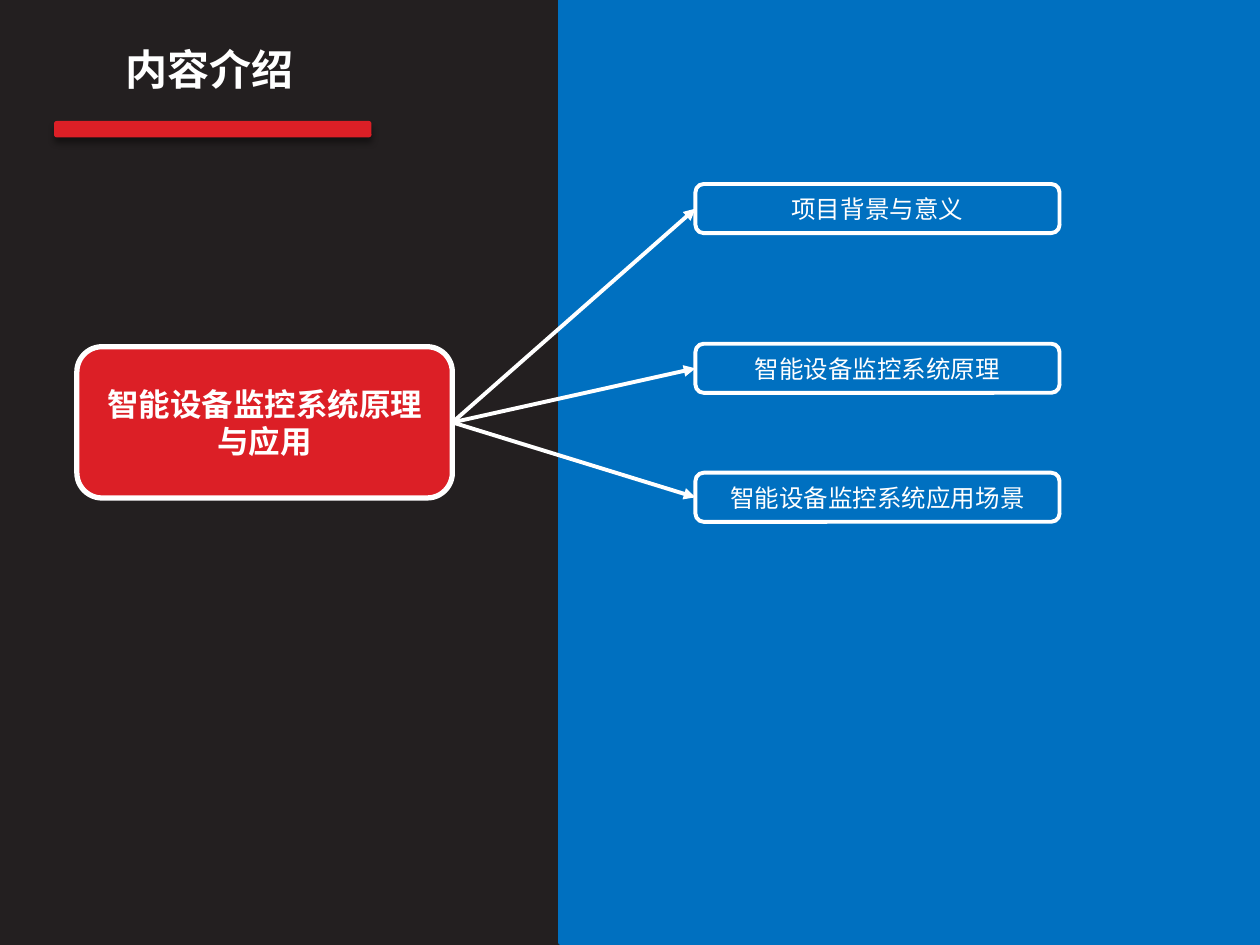
from dataclasses import dataclass

import pptx
import pptx.dml.color
import pptx.enum.shapes
import pptx.enum.text
import pptx.oxml
import pptx.oxml.ns
import pptx.shapes.autoshape
import pptx.util
from pptx.util import Cm

FONT = "Noto Sans CJK SC"
COLORS = {"dark": "231F20", "blue": "0070C0", "red": "DC1F26", "white": "FFFFFF"}
SHAPE = pptx.enum.shapes.MSO_SHAPE
RIGHT, LEFT = 3, 1  # connection sites


@dataclass
class Box:
    left: float
    top: float
    width: float
    height: float
    fill: str
    line: str | None = None
    line_pt: float = 0
    text: str = ""
    size: int = 14
    bold: bool = False
    kind: int = SHAPE.ROUNDED_RECTANGLE


def rgb(name: str) -> pptx.dml.color.RGBColor:
    return pptx.dml.color.RGBColor.from_string(COLORS[name])


def write(sp, text: str, size: int, bold: bool) -> None:
    tf = sp.text_frame
    tf.word_wrap = True
    tf.text = text
    p = tf.paragraphs[0]
    p.alignment = pptx.enum.text.PP_ALIGN.CENTER
    r = p.runs[0]
    r.font.size = pptx.util.Pt(size)
    r.font.bold = bold
    r.font.name = FONT
    r.font.color.rgb = rgb("white")
    ea = pptx.oxml.parse_xml(f'<a:ea {pptx.oxml.ns.nsdecls("a")} typeface="{FONT}"/>')
    r.font._element.find(pptx.oxml.ns.qn("a:latin")).addnext(ea)


def add_box(shapes, box: Box) -> pptx.shapes.autoshape.Shape:
    sp = shapes.add_shape(box.kind, Cm(box.left), Cm(box.top), Cm(box.width), Cm(box.height))
    sp.shadow.inherit = False
    sp.fill.solid()
    sp.fill.fore_color.rgb = rgb(box.fill)
    if box.line:
        sp.line.color.rgb = rgb(box.line)
        sp.line.width = pptx.util.Pt(box.line_pt)
    else:
        sp.line.fill.background()
    if box.text:
        sp.text_frame.vertical_anchor = pptx.enum.text.MSO_ANCHOR.MIDDLE
        write(sp, box.text, box.size, box.bold)
    return sp


def add_drop_shadow(sp: pptx.shapes.autoshape.Shape) -> None:
    effects = sp._element.spPr.find(pptx.oxml.ns.qn("a:effectLst"))
    effects.append(pptx.oxml.parse_xml(
        f'<a:outerShdw {pptx.oxml.ns.nsdecls("a")} blurRad="{pptx.util.Pt(4)}" '
        f'dist="{pptx.util.Pt(3)}" dir="5400000" rotWithShape="0">'
        '<a:srgbClr val="000000"><a:alpha val="43000"/></a:srgbClr></a:outerShdw>'))


def add_arrow(shapes, start, end) -> None:
    cxn = shapes.add_connector(pptx.enum.shapes.MSO_CONNECTOR.STRAIGHT, 0, 0, 0, 0)
    cxn.begin_connect(start, RIGHT)
    cxn.end_connect(end, LEFT)
    cxn.line.color.rgb = rgb("white")
    cxn.line.width = pptx.util.Pt(2.25)
    ns = pptx.oxml.ns.nsdecls("a")
    cxn.line._get_or_add_ln().append(pptx.oxml.parse_xml(f'<a:tailEnd {ns} type="triangle"/>'))
    cxn._element.spPr.append(pptx.oxml.parse_xml(f"<a:effectLst {ns}/>"))


def main() -> None:
    prs = pptx.Presentation()
    prs.slide_width, prs.slide_height = Cm(25.4), Cm(19.05)
    s = prs.slides.add_slide(prs.slide_layouts[6])

    # Dark background with a blue panel on the right
    s.background.fill.solid()
    s.background.fill.fore_color.rgb = rgb("dark")
    add_box(s.shapes, Box(11.3, 0, 14.1, 19, "blue", "blue", 3, kind=SHAPE.RECTANGLE))

    # Title with its underline bar
    heading = s.shapes.add_group_shape()
    title = heading.shapes.add_textbox(Cm(0.71), Cm(0.76), Cm(7.04), Cm(1.8))
    write(title, "内容介绍", 24, True)
    add_drop_shadow(add_box(heading.shapes, Box(1.09, 2.44, 6.4, 0.33, "red")))

    # Main subject
    subject = add_box(s.shapes, Box(1.55, 6.99, 7.57, 3.05, "red", "white", 3,
                                    "智能设备监控系统原理与应用", 18, True))

    # Topics, each reached by an arrow from the subject
    topics = [
        (3.71, "项目背景与意义"),
        (6.93, "智能设备监控系统原理"),
        (9.53, "智能设备监控系统应用场景"),
    ]
    for top, text in topics:
        topic = add_box(s.shapes, Box(14.02, top, 7.34, 0.99, "blue", "white", 2.25, text))
        add_arrow(s.shapes, subject, topic)

    prs.save("out.pptx")


if __name__ == "__main__":
    main()
